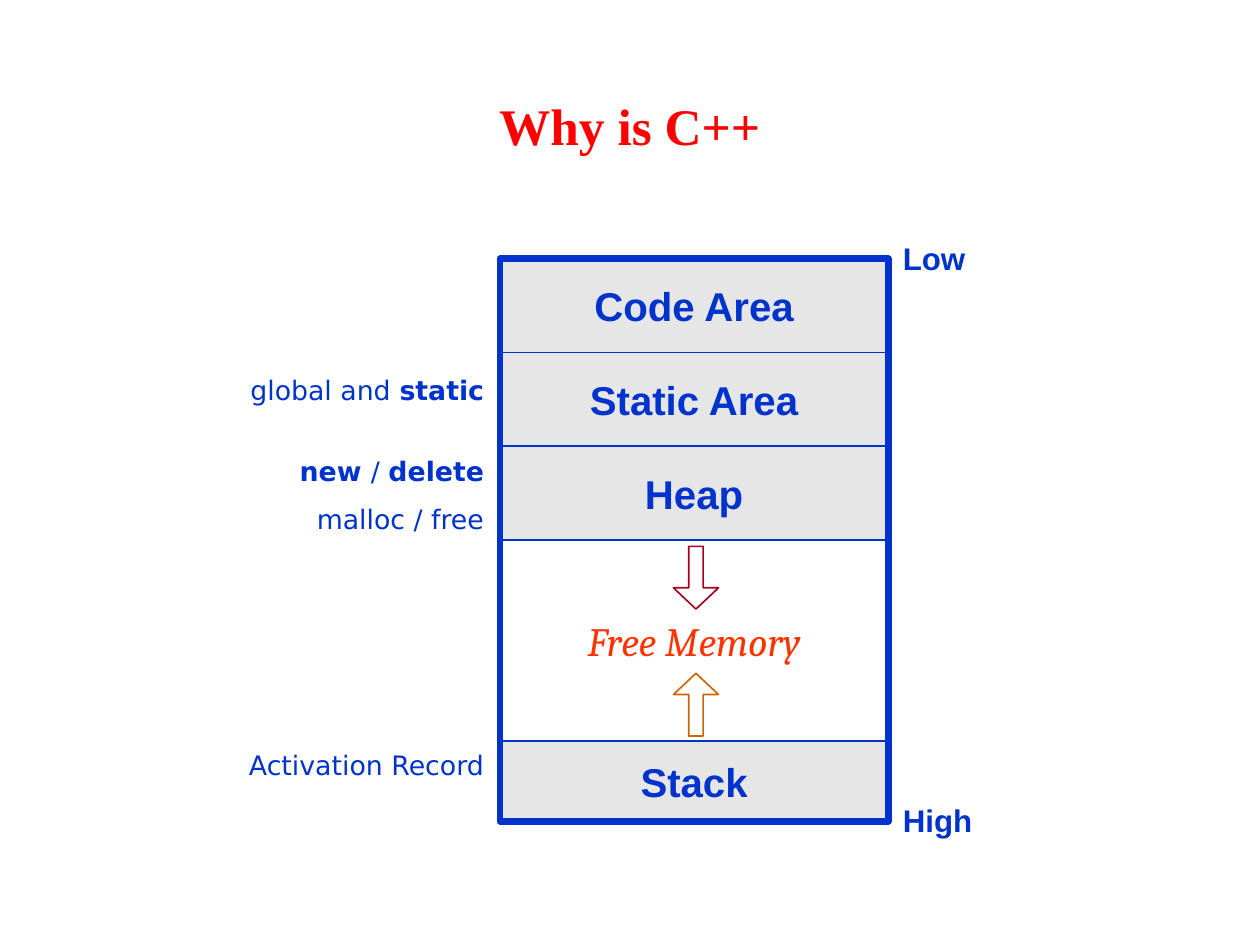
from pptx import Presentation
from pptx.dml.color import RGBColor
from pptx.enum import shapes, text
from pptx.util import Pt

BLUE, GREY = "0033CC", "E6E6E6"
LEFT, TOP, WIDTH = 224, 116, 174


def style(font, face, size, color, bold=False, italic=False):
    font.name, font.size = face, Pt(size)
    font.color.rgb = RGBColor.from_string(color)
    font.bold, font.italic = bold, italic


def outline(kind, left, top, width, height, line, weight=0.75, fill=None):
    block = slide.shapes.add_shape(kind, Pt(left), Pt(top), Pt(width), Pt(height))
    block.shadow.inherit = False
    if fill:
        block.fill.solid()
        block.fill.fore_color.rgb = RGBColor.from_string(fill)
    else:
        block.fill.background()
    block.line.color.rgb = RGBColor.from_string(line)
    block.line.width = Pt(weight)
    return block


prs = Presentation()
prs.slide_width, prs.slide_height = Pt(564.5), Pt(423.4)
slide = prs.slides.add_slide(prs.slide_layouts[5])

title = slide.shapes.title
title.left, title.top, title.width, title.height = Pt(18.7), Pt(39.6), Pt(527), Pt(33.1)
title.text_frame.text = "Why is C++"
title.text_frame.vertical_anchor = text.MSO_ANCHOR.MIDDLE
heading = title.text_frame.paragraphs[0]
heading.alignment = text.PP_ALIGN.CENTER
style(heading.runs[0].font, "Times New Roman", 23, "FF0000", bold=True)

areas = [
    ("Code Area", 42, GREY, GREY),
    ("Static Area", 42, GREY, BLUE),
    ("Heap", 42, GREY, BLUE),
    ("Free Memory", 90, None, BLUE),
    ("Stack", 36, GREY, BLUE),
]
area_top = TOP
for name, height, fill, line in areas:
    area = outline(shapes.MSO_SHAPE.RECTANGLE, LEFT, area_top, WIDTH, height, line, fill=fill)
    area.text_frame.text = name
    area.text_frame.word_wrap = False
    area.text_frame.vertical_anchor = text.MSO_ANCHOR.MIDDLE
    caption = area.text_frame.paragraphs[0]
    caption.alignment = text.PP_ALIGN.CENTER
    if fill:
        style(caption.runs[0].font, "Arial", 18, BLUE, bold=True)
    else:
        style(caption.runs[0].font, "Cambria", 18, "FF3300", italic=True)
    area_top += height

growth = [
    (shapes.MSO_SHAPE.UP_ARROW, 301.7, "CC6600"),
    (shapes.MSO_SHAPE.DOWN_ARROW, 244.8, "A50021"),
]
for kind, top, color in growth:
    arrow = outline(kind, 301.7, top, 20.2, 28.1, color)
    arrow.adjustments[0], arrow.adjustments[1] = 0.32, 0.47

address = ("Arial", 14, text.PP_ALIGN.LEFT, 397.4, 66)
remark = ("DejaVu Sans", 12, text.PP_ALIGN.RIGHT, 80, 144)
labels = [
    (address, 103.7, 24.5, [[("Low", True)]]),
    (address, 355.7, 24.5, [[("High", True)]]),
    (remark, 332, 21.6, [[("Activation Record", False)]]),
    (remark, 200, 44, [[("new ", True), ("/ ", False), ("delete", True)],
                       [("malloc / free", False)]]),
    (remark, 164, 21.6, [[("global and ", False), ("static", True)]]),
]
for (face, size, align, left, width), top, height, lines in labels:
    label = slide.shapes.add_textbox(Pt(left), Pt(top), Pt(width), Pt(height)).text_frame
    label.word_wrap = True
    for index, pieces in enumerate(lines):
        paragraph = label.add_paragraph() if index else label.paragraphs[0]
        paragraph.alignment = align
        if index:
            paragraph.space_before = Pt(7.5)
        for words, bold in pieces:
            run = paragraph.add_run()
            run.text = words
            style(run.font, face, size, BLUE, bold=bold)

outline(shapes.MSO_SHAPE.RECTANGLE, LEFT, TOP, WIDTH, area_top - TOP, BLUE, weight=3)

prs.save("out.pptx")
